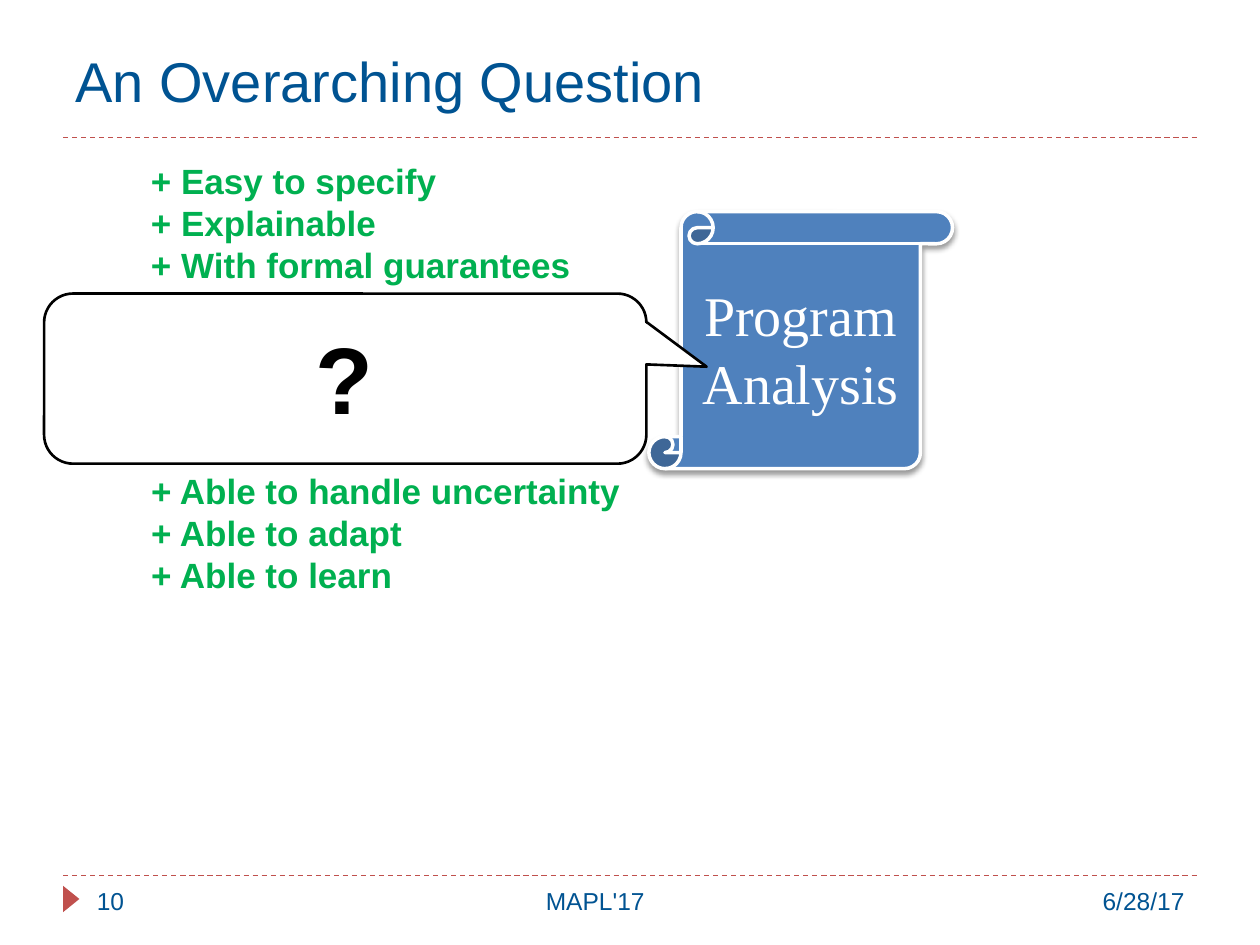
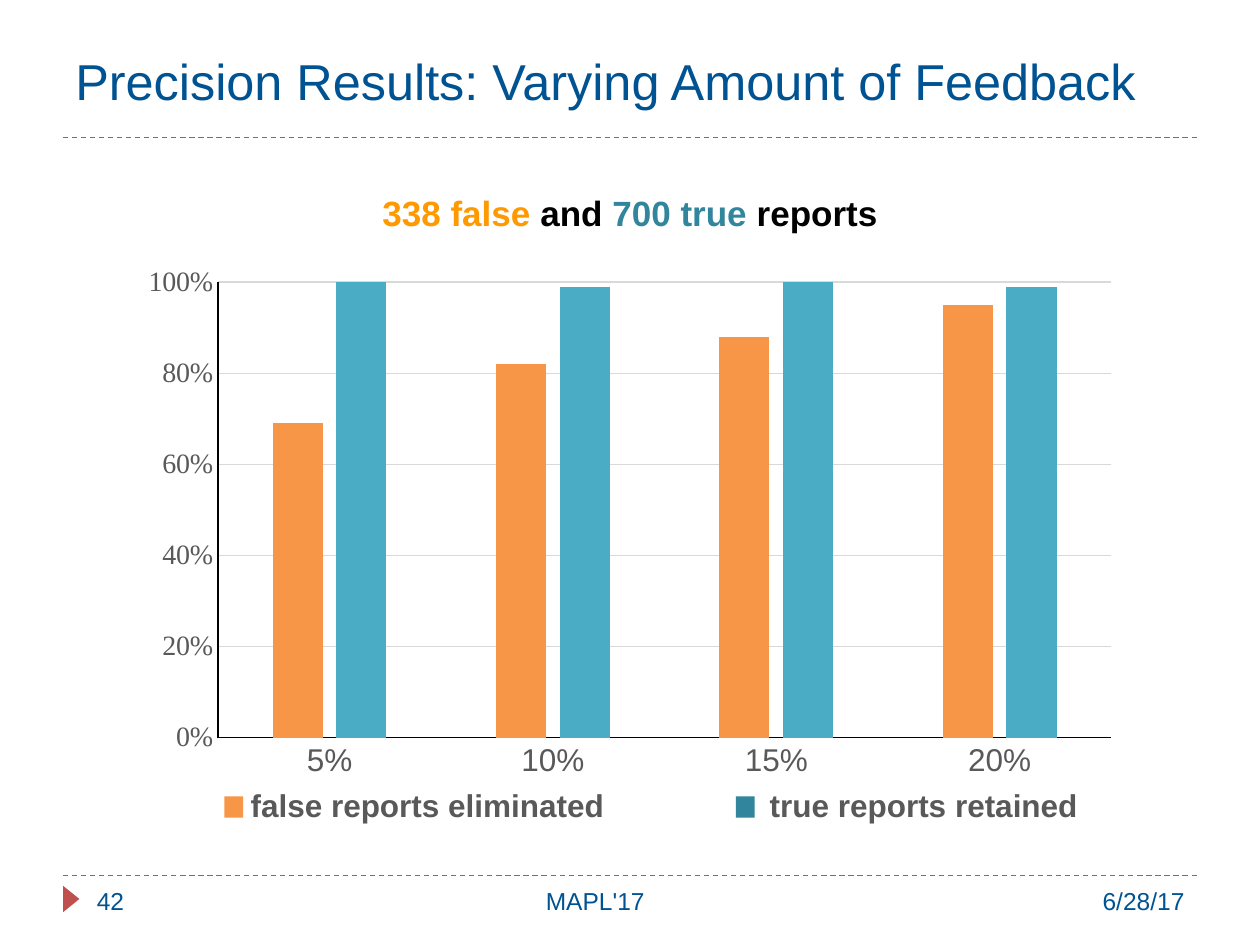
from lxml.etree import SubElement
from pptx import Presentation
from pptx.chart.data import CategoryChartData
from pptx.dml.color import RGBColor
from pptx.enum.chart import XL_CHART_TYPE, XL_TICK_MARK
from pptx.enum.dml import MSO_LINE
from pptx.enum.shapes import MSO_CONNECTOR, MSO_SHAPE
from pptx.enum.text import MSO_ANCHOR, PP_ALIGN
from pptx.oxml.ns import qn
from pptx.util import Inches, Pt

COLORS = {
    "title": "005392", "rule": "C0504D", "plus": "00B050", "scroll": "4F81BD",
    "white": "FFFFFF", "black": "000000", "grey": "595959", "grid": "D9D9D9",
    "false": "F79646", "true": "4BACC6", "amber": "FF9900", "teal": "31859C",
}
SANS, SERIF = "Arial", "Times New Roman"
LEFT, CENTER, RIGHT = PP_ALIGN.LEFT, PP_ALIGN.CENTER, PP_ALIGN.RIGHT

EVENT, DATE = "MAPL'17", "6/28/17"
QUESTION = {"title": "An Overarching Question", "size": 32, "page": "10"}
RESULTS = {"title": "Precision Results: Varying Amount of Feedback",
           "size": 28.8, "page": "42"}
PLUSES = [
    ((1.1, 1.22, 3.74, 1.11),
     ["+ Easy to specify", "+ Explainable", "+ With formal guarantees"]),
    ((1.1, 3.68, 4.28, 1.11),
     ["+ Able to handle uncertainty", "+ Able to adapt", "+ Able to learn"]),
]
SCROLL = ["Program", "Analysis"]
COUNTS = [("338 false ", "amber"), ("and ", "black"),
          ("700 true ", "teal"), ("reports", "black")]
SHARES = ["5%", "10%", "15%", "20%"]
SERIES = [("Series 1", "false", (0.69, 0.82, 0.88, 0.95)),
          ("Series 2", "true", (1, 0.99, 1, 0.99))]
KEYS = [("false reports eliminated", "false", 1.78, 1.89),
        ("true reports retained", "teal", 5.84, 6.01)]


def rgb(name):
    return RGBColor.from_string(COLORS[name])


def set_font(font, size, color, face=SANS, bold=False):
    font.size, font.name, font.bold = Pt(size), face, bold
    font.color.rgb = rgb(color)


def write(frame, lines, size, color, face=SANS, bold=False, align=LEFT):
    """Fill a frame; a line is a string or a list of (text, color) runs."""
    for i, line in enumerate(lines):
        para = frame.paragraphs[0] if i == 0 else frame.add_paragraph()
        para.alignment = align
        set_font(para.font, size, color, face, bold)
        runs = [(line, None)] if isinstance(line, str) else line
        for text, tint in runs:
            run = para.add_run()
            run.text = text
            if tint:
                run.font.color.rgb = rgb(tint)


def add_text(slide, box, lines, size, color, anchor=MSO_ANCHOR.TOP,
             wrap=True, **style):
    frame = slide.shapes.add_textbox(*map(Inches, box)).text_frame
    frame.word_wrap, frame.vertical_anchor = wrap, anchor
    write(frame, lines, size, color, **style)


def add_shape(slide, kind, box, fill, line=None, width=1):
    shape = slide.shapes.add_shape(kind, *map(Inches, box))
    shape.shadow.inherit = False
    shape.fill.solid()
    shape.fill.fore_color.rgb = rgb(fill)
    if line:
        shape.line.color.rgb = rgb(line)
        shape.line.width = Pt(width)
    else:
        shape.line.fill.background()
    return shape


def drop_shadow(shape):
    effects = shape._element.spPr.find(qn("a:effectLst"))
    outer = SubElement(effects, qn("a:outerShdw"), blurRad=str(Pt(3)),
                       dist=str(Pt(2)), dir="5400000", rotWithShape="0")
    color = SubElement(outer, qn("a:srgbClr"), val=COLORS["black"])
    SubElement(color, qn("a:alpha"), val="40000")


def add_rule(slide, y):
    rule = slide.shapes.add_connector(
        MSO_CONNECTOR.STRAIGHT, *map(Inches, (0.5, y, 9.5, y)))
    rule.line.color.rgb = rgb("rule")
    rule.line.width = Pt(0.75)
    rule.line.dash_style = MSO_LINE.DASH
    SubElement(rule._element.spPr, qn("a:effectLst"))


def add_slide(deck, head):
    """Add a slide with the shared title, rules and footer."""
    slide = deck.slides.add_slide(deck.slide_layouts[6])
    for y in (6.95, 1.09):
        add_rule(slide, y)
    mark = add_shape(slide, MSO_SHAPE.ISOSCELES_TRIANGLE,
                     (0.46, 7.07, 0.21, 0.13), "rule")
    mark.rotation = 90
    add_text(slide, (0.5, 0.17, 9, 0.93), [head["title"]], head["size"],
             "title", anchor=MSO_ANCHOR.MIDDLE)
    for text, x, width, align in ((DATE, 7, 2.5, RIGHT),
                                  (head["page"], 0.67, 0.89, LEFT),
                                  (EVENT, 1.56, 6.33, CENTER)):
        add_text(slide, (x, 6.98, width, 0.4), [text], 14, "title", align=align)
    return slide


def draw_question(deck):
    slide = add_slide(deck, QUESTION)
    scroll = add_shape(slide, MSO_SHAPE.VERTICAL_SCROLL,
                       (5.15, 1.68, 2.41, 2.04), "scroll", "white", 2)
    drop_shadow(scroll)
    scroll.text_frame.vertical_anchor = MSO_ANCHOR.MIDDLE
    write(scroll.text_frame, SCROLL, 32, "white", face=SERIF, align=CENTER)
    bubble = add_shape(slide, MSO_SHAPE.ROUNDED_RECTANGULAR_CALLOUT,
                       (0.35, 2.33, 4.78, 1.35), "white", "black", 1.5)
    for i, value in enumerate((0.6, -0.07, 0.17)):
        bubble.adjustments[i] = value
    for box, lines in PLUSES:
        add_text(slide, box, lines, 20, "plus", bold=True)
    add_text(slide, (2.4, 2.49, 0.66, 1.01), ["?"], 54, "black",
             wrap=False, bold=True, align=CENTER)


def style_axis(axis, size, face):
    axis.major_tick_mark = axis.minor_tick_mark = XL_TICK_MARK.NONE
    set_font(axis.tick_labels.font, size, "grey", face)
    axis.format.line.color.rgb = rgb("black")
    axis.format.line.width = Pt(0.75)


def add_bars(slide):
    data = CategoryChartData(number_format="0%")
    data.categories = SHARES
    for name, _, values in SERIES:
        data.add_series(name, values)
    chart = slide.shapes.add_chart(
        XL_CHART_TYPE.COLUMN_CLUSTERED,
        *map(Inches, (1.02, 2.03, 7.96, 4.23)), data).chart
    chart.has_legend = chart.has_title = False
    set_font(chart.font, 10, "black", SERIF)
    style_axis(chart.category_axis, 18, SANS)
    scale = chart.value_axis
    style_axis(scale, 16, SERIF)
    scale.minimum_scale, scale.maximum_scale, scale.major_unit = 0, 1, 0.2
    scale.tick_labels.number_format = "0%"
    scale.tick_labels.number_format_is_linked = False
    grid = scale.major_gridlines.format.line
    grid.color.rgb, grid.width = rgb("grid"), Pt(0.75)
    plot = chart.plots[0]
    plot.gap_width, plot.overlap, plot.vary_by_categories = 219, -27, False
    for bars, (_, color, _) in zip(plot.series, SERIES):
        bars.format.fill.solid()
        bars.format.fill.fore_color.rgb = rgb(color)


def draw_results(deck):
    slide = add_slide(deck, RESULTS)
    add_bars(slide)
    add_text(slide, (2.01, 1.47, 5.98, 0.44), [COUNTS], 20, "black",
             bold=True, align=CENTER)
    for label, color, key_x, text_x in KEYS:
        add_shape(slide, MSO_SHAPE.RECTANGLE, (key_x, 6.32, 0.15, 0.17), color)
        add_text(slide, (text_x, 6.19, 3.79, 0.4), [label], 18, "grey", bold=True)


def main():
    deck = Presentation()
    deck.slide_width, deck.slide_height = Inches(10), Inches(7.5)
    draw_question(deck)
    draw_results(deck)
    deck.save("out.pptx")


if __name__ == "__main__":
    main()
